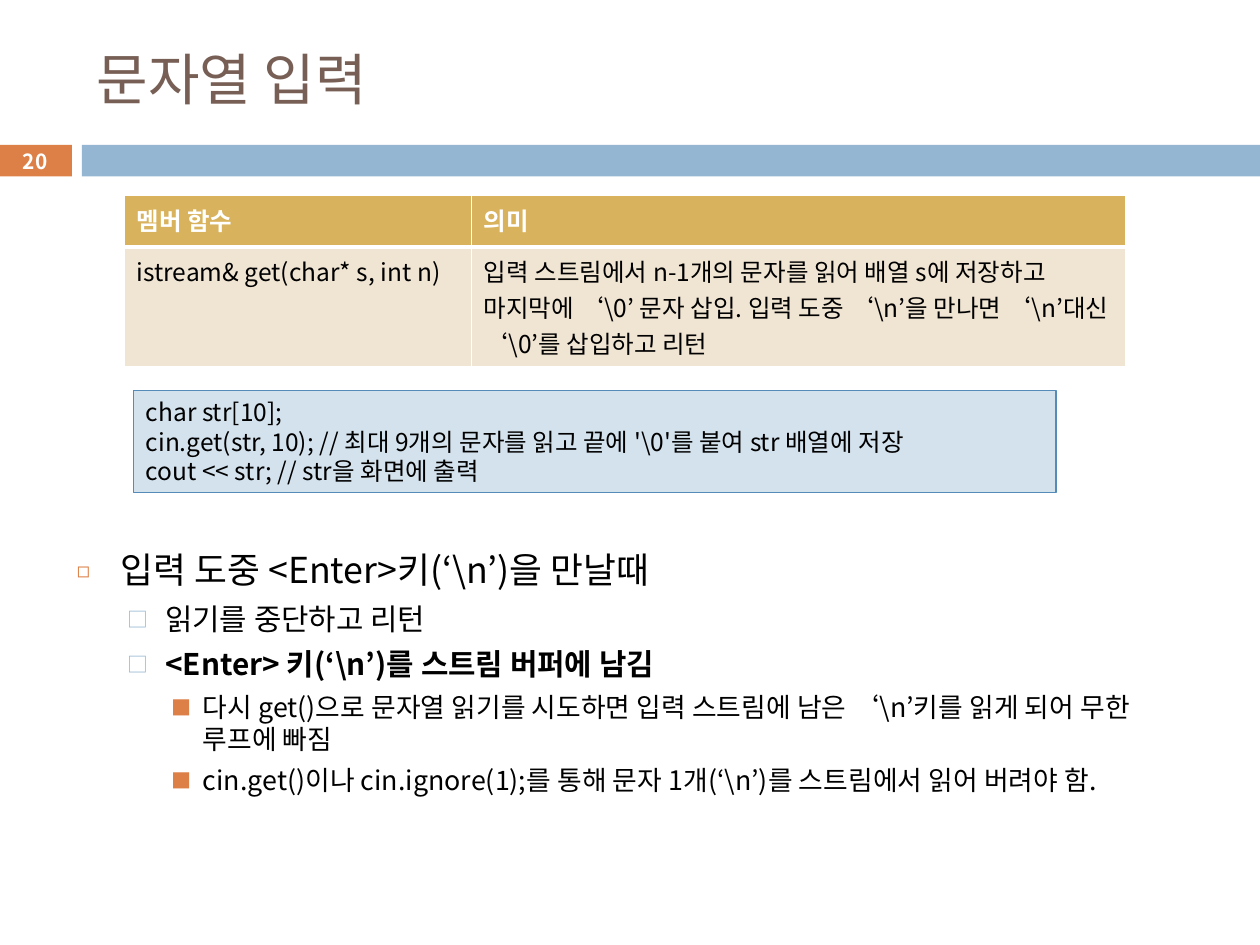
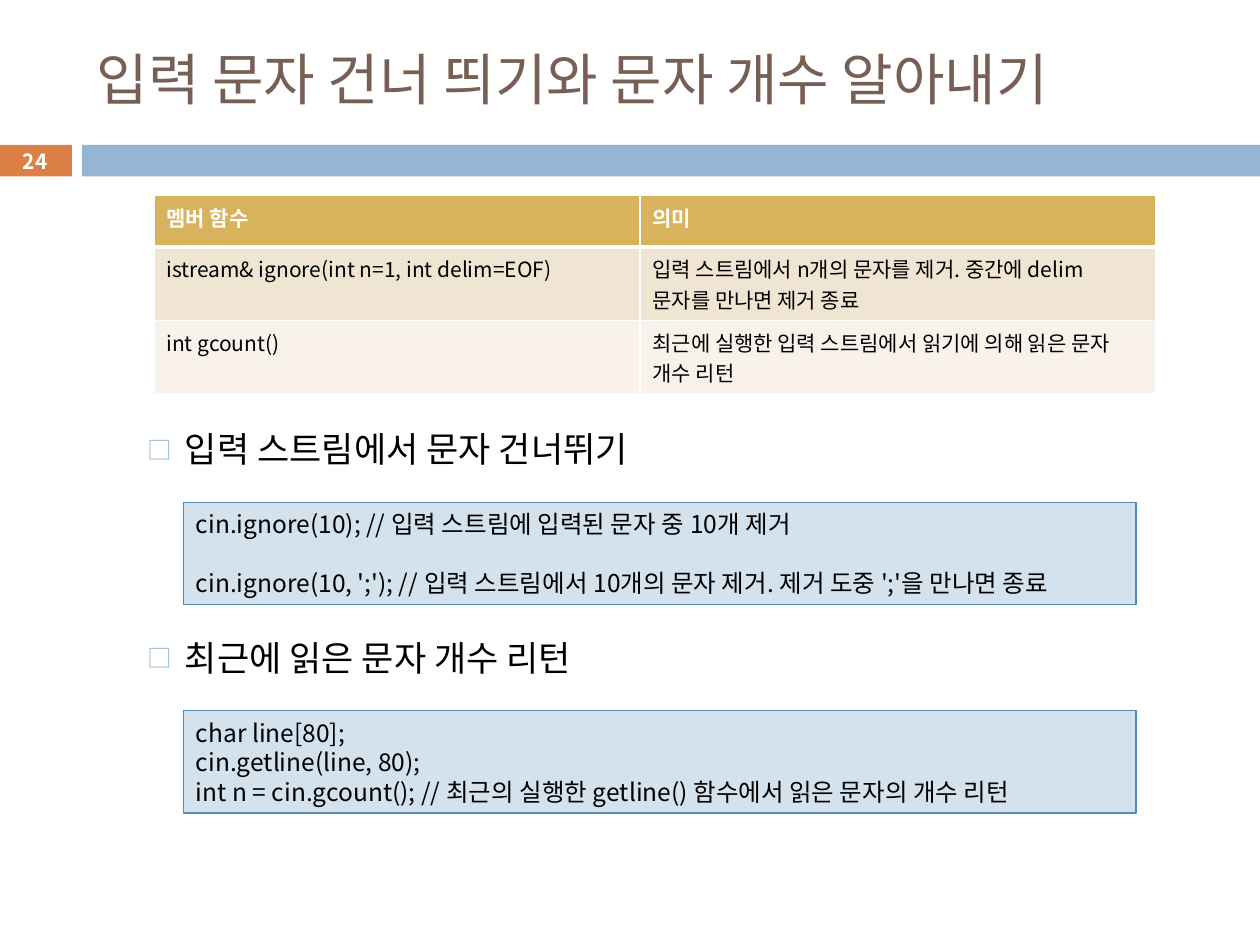
from dataclasses import dataclass
from typing import Any

from lxml.etree import SubElement
from pptx import Presentation
from pptx.dml.color import RGBColor
from pptx.enum.shapes import MSO_SHAPE
from pptx.enum.text import MSO_ANCHOR, MSO_AUTO_SIZE, PP_ALIGN
from pptx.oxml.ns import qn
from pptx.util import Cm, Pt

FONT = "Noto Sans CJK KR"
TITLE_ONLY = 5
LINE_RATIO = 1.2
COLORS = {
    "title": "775F55",
    "text": "000000",
    "white": "FFFFFF",
    "orange": "DD8047",
    "blue": "94B6D2",
    "code_fill": "D4E2ED",
    "code_line": "558BB8",
    "header": "D8B25C",
    "row_dark": "F0E4D2",
    "row_light": "F8F2EA",
}
FRAME_FORMAT = {
    "word_wrap": True,
    "auto_size": MSO_AUTO_SIZE.NONE,
    "margin_left": Cm(0.25),
    "margin_right": Cm(0.25),
    "margin_top": Cm(0.13),
    "margin_bottom": Cm(0.13),
}


@dataclass(frozen=True)
class Area:
    left: float
    top: float
    width: float
    height: float

    def lengths(self) -> tuple:
        return Cm(self.left), Cm(self.top), Cm(self.width), Cm(self.height)


@dataclass(frozen=True)
class Level:
    indent: float
    hanging: float
    before: float
    size: float
    bullet: str
    color: str
    percent: int


@dataclass(frozen=True)
class Point:
    text: str
    level: Level
    bold: bool = False


@dataclass(frozen=True)
class FunctionTable:
    left: float
    columns: tuple[float, ...]
    body_height: float
    size: float
    rows: tuple[tuple[str, str], ...]


@dataclass(frozen=True)
class CodeBox:
    area: Area
    lines: tuple[str, ...]
    gap: float = 0


TITLE_AREA = Area(1.7, 0.64, 22.66, 1.88)
NUMBER_BAND = Area(-0.03, 2.92, 1.48, 0.64)
WIDE_BAND = Area(1.65, 2.92, 23.75, 0.64)
TABLE_TOP = 3.94
HEADER_HEIGHT = 1.04
CODE_SIZE = 14
CODE_HEIGHT = 2.06

TOP_LEVEL = Level(0.89, 0.89, 7, 20.4, "◻", "orange", 60)
SUB_LEVEL = Level(1.78, 0.76, 5.5, 17, "□", "blue", 70)
DETAIL_LEVEL = Level(2.54, 0.64, 5, 15.3, "■", "orange", 75)
HEADING_LEVEL = Level(1.78, 0.76, 5.5, 20, "□", "blue", 70)
TABLE_HEADER = ("멤버 함수", "의미")


def apply_format(target: Any, values: dict[str, Any]) -> None:
    for name, value in values.items():
        setattr(target, name, value)


def rgb(color: str) -> RGBColor:
    return RGBColor.from_string(COLORS[color])


def write(para: Any, text: str, size: float, color: str = "text", bold: bool = False) -> None:
    span = para.add_run()
    span.text = text
    apply_format(span.font, {"name": FONT, "size": Pt(size), "bold": bold})
    span.font.color.rgb = rgb(color)
    SubElement(span.font._element, qn("a:ea"), typeface=FONT)


def add_bullet(para: Any, level: Level) -> None:
    properties = para._p.get_or_add_pPr()
    properties.set("marL", str(Cm(level.indent)))
    properties.set("indent", str(-Cm(level.hanging)))
    tint = SubElement(properties, qn("a:buClr"))
    SubElement(tint, qn("a:srgbClr"), val=COLORS[level.color])
    SubElement(properties, qn("a:buSzPct"), val=str(level.percent * 1000))
    SubElement(properties, qn("a:buFont"), typeface=FONT)
    SubElement(properties, qn("a:buChar"), char=level.bullet)


def add_rectangle(page: Any, area: Area, fill: str, line: str | None = None) -> Any:
    box = page.shapes.add_shape(MSO_SHAPE.RECTANGLE, *area.lengths())
    box.shadow.inherit = False
    box.fill.solid()
    box.fill.fore_color.rgb = rgb(fill)
    if line:
        box.line.color.rgb = rgb(line)
        box.line.width = Pt(0.75)
    else:
        box.line.fill.background()
    return box


def add_page(deck: Any, title: str, number: int) -> Any:
    page = deck.slides.add_slide(deck.slide_layouts[TITLE_ONLY])
    heading = page.shapes.title
    apply_format(heading, dict(zip(("left", "top", "width", "height"), TITLE_AREA.lengths())))
    apply_format(heading.text_frame, FRAME_FORMAT | {"vertical_anchor": MSO_ANCHOR.MIDDLE})
    para = heading.text_frame.paragraphs[0]
    para.alignment = PP_ALIGN.LEFT
    write(para, title, 32, "title")

    add_rectangle(page, WIDE_BAND, "blue")
    band = add_rectangle(page, NUMBER_BAND, "orange")
    margins = dict.fromkeys(("margin_left", "margin_right", "margin_top", "margin_bottom"), 0)
    apply_format(band.text_frame, margins | {"vertical_anchor": MSO_ANCHOR.MIDDLE})
    para = band.text_frame.paragraphs[0]
    para.alignment = PP_ALIGN.CENTER
    write(para, str(number), 11.9, "white", True)
    return page


def add_points(page: Any, area: Area, points: tuple[Point, ...], anchor: Any = MSO_ANCHOR.TOP) -> None:
    box = page.shapes.add_textbox(*area.lengths())
    frame = box.text_frame
    apply_format(frame, FRAME_FORMAT | {"vertical_anchor": anchor})
    for index, point in enumerate(points):
        para = frame.add_paragraph() if index else frame.paragraphs[0]
        level = point.level
        add_bullet(para, level)
        para.line_spacing = Pt(level.size * LINE_RATIO)
        para.space_before = Pt(level.before if index else 0)
        write(para, point.text, level.size, bold=point.bold)


def add_code(page: Any, code: CodeBox) -> None:
    box = add_rectangle(page, code.area, "code_fill", "code_line")
    frame = box.text_frame
    apply_format(frame, FRAME_FORMAT | {"vertical_anchor": MSO_ANCHOR.MIDDLE})
    for index, line in enumerate(code.lines):
        para = frame.add_paragraph() if index else frame.paragraphs[0]
        apply_format(para, {
            "alignment": PP_ALIGN.LEFT,
            "line_spacing": Pt(CODE_SIZE * LINE_RATIO),
            "space_before": Pt(code.gap if index else 0),
        })
        write(para, line, CODE_SIZE)


def add_borders(cell: Any, row: int) -> None:
    properties = cell._tc.get_or_add_tcPr()
    widths = {"lnL": 1, "lnR": 1, "lnT": 3 if row == 1 else 1, "lnB": 1 if row else 3}
    for side, width in widths.items():
        line = SubElement(properties, qn(f"a:{side}"), w=str(Pt(width)))
        fill = SubElement(line, qn("a:solidFill"))
        SubElement(fill, qn("a:srgbClr"), val=COLORS["white"])


def add_function_table(page: Any, content: FunctionTable) -> None:
    rows = (TABLE_HEADER, *content.rows)
    height = HEADER_HEIGHT + content.body_height * len(content.rows)
    area = Area(content.left, TABLE_TOP, sum(content.columns), height)
    table = page.shapes.add_table(len(rows), len(content.columns), *area.lengths()).table
    table.horz_banding = False
    for column, width in zip(table.columns, content.columns):
        column.width = Cm(width)
    fills = ("header", "row_dark", "row_light")
    for index, texts in enumerate(rows):
        table.rows[index].height = Cm(content.body_height if index else HEADER_HEIGHT)
        for cell, text in zip(table.rows[index].cells, texts):
            add_borders(cell, index)
            cell.fill.solid()
            cell.fill.fore_color.rgb = rgb(fills[index])
            color = "text" if index else "white"
            write(cell.text_frame.paragraphs[0], text, content.size, color, index == 0)


def build_string_input(deck: Any) -> None:
    page = add_page(deck, "문자열 입력", 20)
    add_points(page, Area(1.3, 10.92, 22.66, 4.6), (
        Point("입력 도중 <Enter>키(‘\\n’)을 만날때", TOP_LEVEL),
        Point("읽기를 중단하고 리턴", SUB_LEVEL),
        Point("<Enter> 키(‘\\n’)를 스트림 버퍼에 남김", SUB_LEVEL, True),
        Point("다시 get()으로 문자열 읽기를 시도하면 입력 스트림에 남은 ‘\\n’키를 읽게 되어 무한 루프에 빠짐",
              DETAIL_LEVEL),
        Point("cin.get()이나 cin.ignore(1);를 통해 문자 1개(‘\\n’)를 스트림에서 읽어 버려야 함.", DETAIL_LEVEL),
    ))
    add_function_table(page, FunctionTable(2.5, (7, 13.2), 2.39, 14, (
        ("istream& get(char* s, int n)",
         "입력 스트림에서 n-1개의 문자를 읽어 배열 s에 저장하고 마지막에 ‘\\0’ 문자 삽입. "
         "입력 도중 ‘\\n’을 만나면 ‘\\n’대신 ‘\\0’를 삽입하고 리턴"),
    )))
    add_code(page, CodeBox(Area(2.69, 7.87, 18.6, CODE_HEIGHT), (
        "char str[10];",
        "cin.get(str, 10); // 최대 9개의 문자를 읽고 끝에 '\\0'를 붙여 str 배열에 저장",
        "cout << str; // str을 화면에 출력",
    )))


def build_skip_and_count(deck: Any) -> None:
    page = add_page(deck, "입력 문자 건너 띄기와 문자 개수 알아내기", 24)
    add_function_table(page, FunctionTable(3.1, (9.8, 10.4), 1.47, 12, (
        ("istream& ignore(int n=1, int delim=EOF)",
         "입력 스트림에서 n개의 문자를 제거. 중간에 delim 문자를 만나면 제거 종료"),
        ("int gcount()", "최근에 실행한 입력 스트림에서 읽기에 의해 읽은 문자 개수 리턴"),
    )))
    sections = (
        ("입력 스트림에서 문자 건너뛰기", CODE_SIZE * LINE_RATIO, (
            "cin.ignore(10); // 입력 스트림에 입력된 문자 중 10개 제거",
            "cin.ignore(10, ';'); // 입력 스트림에서 10개의 문자 제거. 제거 도중 ';'을 만나면 종료",
        )),
        ("최근에 읽은 문자 개수 리턴", 0, (
            "char line[80];",
            "cin.getline(line, 80);",
            "int n = cin.gcount(); // 최근의 실행한 getline() 함수에서 읽은 문자의 개수 리턴",
        )),
    )
    for index, (heading, gap, lines) in enumerate(sections):
        code_top = 10.13 + 4.2 * index
        add_points(page, Area(1.7, code_top - 1.68, 22.66, 1.2),
                   (Point(heading, HEADING_LEVEL),), MSO_ANCHOR.MIDDLE)
        add_code(page, CodeBox(Area(3.7, code_top, 19.2, CODE_HEIGHT), lines, gap))


def main() -> None:
    deck = Presentation()
    apply_format(deck, {"slide_width": Cm(25.4), "slide_height": Cm(19.05)})
    build_string_input(deck)
    build_skip_and_count(deck)
    deck.save("out.pptx")


if __name__ == "__main__":
    main()
